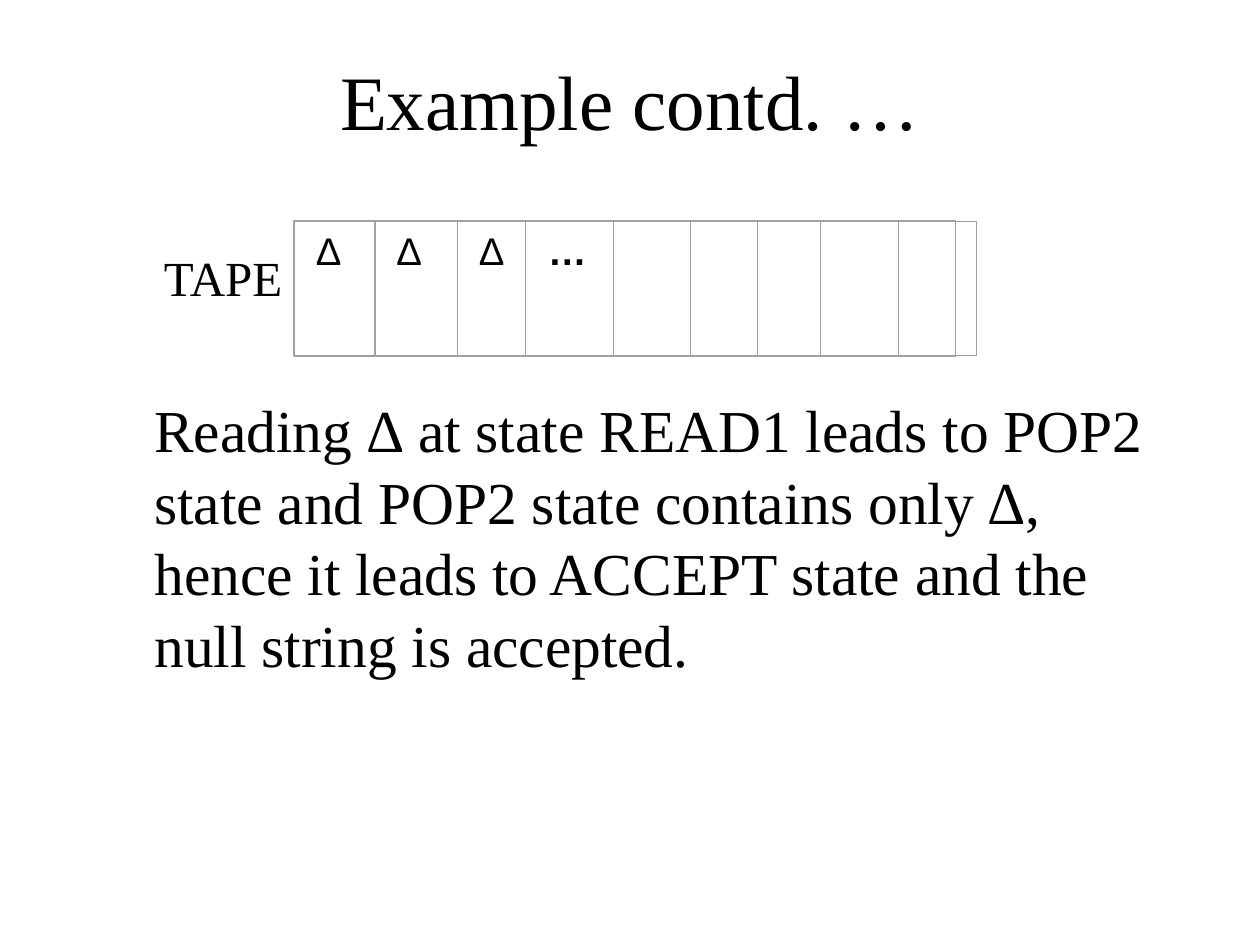
from dataclasses import dataclass
from itertools import accumulate, zip_longest

from lxml.etree import SubElement
from pptx import Presentation
from pptx.dml.color import RGBColor
from pptx.enum.shapes import MSO_SHAPE
from pptx.enum.text import MSO_ANCHOR, PP_ALIGN
from pptx.oxml.ns import qn
from pptx.util import Pt


@dataclass(frozen=True)
class Theme:
    ink: RGBColor = RGBColor(0, 0, 0)
    rule: RGBColor = RGBColor(0xA0, 0xA0, 0xA0)
    serif: str = "Times New Roman"
    sans: str = "Arial"
    title: int = 44
    body: int = 34
    label: int = 28
    cell: int = 22


THEME = Theme()
TAPE_LEFT, TAPE_TOP, TAPE_HEIGHT = 168.2, 126.4, 76.8
CELL_WIDTHS = [46, 47.2, 39, 50.2, 44, 38.25, 36, 44.5, 44.75]
SYMBOLS = ["∆", "∆", "∆", "…"]


def place(sp, left, top, width, height):
    sp.left, sp.top, sp.width, sp.height = map(Pt, (left, top, width, height))


def write(tf, text, size, font, align=PP_ALIGN.LEFT, bold=False):
    tf.text = text
    p = tf.paragraphs[0]
    p.alignment = align
    f = p.runs[0].font
    f.size, f.name, f.bold = Pt(size), font, bold
    f.color.rgb = THEME.ink
    return p


def add_box(s, left, top, width, height, line_width):
    sp = s.shapes.add_shape(MSO_SHAPE.RECTANGLE, *map(Pt, (left, top, width, height)))
    sp.shadow.inherit = False
    sp.fill.background()
    sp.line.color.rgb = THEME.rule
    sp.line.width = Pt(line_width)
    return sp


def add_title(s, text):
    sp = s.shapes.title
    place(sp, 54, 12, 612, 90)
    sp.text_frame.vertical_anchor = MSO_ANCHOR.MIDDLE
    write(sp.text_frame, text, THEME.title, THEME.serif, PP_ALIGN.CENTER)


def add_body(s, text):
    sp = s.placeholders[1]
    place(sp, 54, 220.8, 612, 229.2)
    p = write(sp.text_frame, text, THEME.body, THEME.serif)
    p.space_before = Pt(0)
    p.line_spacing = Pt(41)
    # Indented without a bullet
    pPr = p._p.get_or_add_pPr()
    pPr.set("marL", str(Pt(27)))
    pPr.set("indent", "0")
    SubElement(pPr, qn("a:buNone"))


def add_tape(s):
    # Cells, the first ones holding symbols
    lefts = accumulate(CELL_WIDTHS, initial=TAPE_LEFT)
    for left, width, symbol in zip_longest(lefts, CELL_WIDTHS, SYMBOLS):
        if width is None:
            break
        sp = add_box(s, left, TAPE_TOP, width, TAPE_HEIGHT, 0)
        if symbol:
            tf = sp.text_frame
            tf.vertical_anchor = MSO_ANCHOR.TOP
            tf.margin_left, tf.margin_right = Pt(12.8), Pt(0)
            write(tf, symbol, THEME.cell, THEME.sans, bold=symbol == "…")

    # Outer frame
    add_box(s, 168, 126, 378, 77.6, 0.87)

    # Label
    tf = s.shapes.add_textbox(Pt(87), Pt(137.5), Pt(81), Pt(41)).text_frame
    tf.word_wrap = True
    tf.margin_left = tf.margin_right = Pt(0)
    tf.margin_top = Pt(4)
    write(tf, "TAPE", THEME.label, THEME.serif, PP_ALIGN.CENTER)


def main():
    prs = Presentation()
    prs.slide_width, prs.slide_height = Pt(720), Pt(540)
    s = prs.slides.add_slide(prs.slide_layouts[1])
    add_title(s, "Example contd. …")
    add_body(s, "Reading ∆ at state READ1 leads to POP2 state and POP2 state "
                "contains only ∆, hence it leads to ACCEPT state and the null "
                "string is accepted.")
    add_tape(s)
    prs.save("out.pptx")


main()
